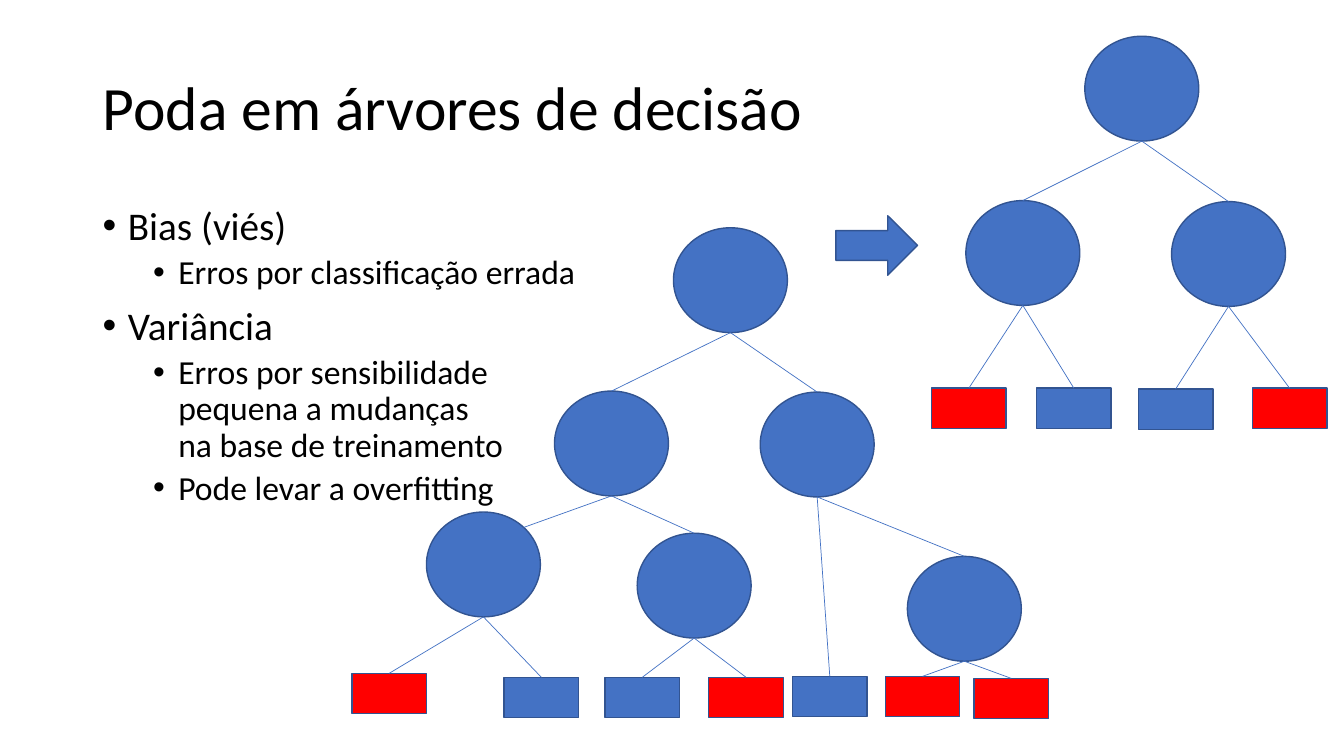
import math

from lxml import etree
from pptx import Presentation
from pptx.dml.color import RGBColor
from pptx.enum import shapes, text
from pptx.oxml.ns import qn
from pptx.util import Inches, Pt

# Content
TITLE = "Poda em árvores de decisão"
BULLETS = [  # (level, text)
    (0, "Bias (viés)"),
    (1, "Erros por classificação errada"),
    (0, "Variância"),
    (1, "Erros por sensibilidade\npequena a mudanças\nna base de treinamento"),
    (1, "Pode levar a overfitting"),
]
# Each node: (kind, left, top, children); a "corner" node is joined at its upper right
PRUNED_TREE = ("node", 10.76, 0.36, [
    ("node", 9.58, 1.99, [("error", 9.24, 3.85, []), ("leaf", 10.28, 3.85, [])]),
    ("node", 11.62, 2, [("leaf", 11.29, 3.86, []), ("error", 12.42, 3.85, [])]),
])
FULL_TREE = ("node", 6.68, 2.26, [
    ("node", 5.5, 3.88, [
        ("corner", 4.23, 5.08, [("error", 3.49, 6.68, []), ("leaf", 5, 6.72, [])]),
        ("node", 6.32, 5.29, [("leaf", 6, 6.72, []), ("error", 7.03, 6.72, [])]),
    ]),
    ("node", 7.54, 3.89, [
        ("leaf", 7.86, 6.71, []),
        ("node", 9, 5.52, [("error", 8.78, 6.71, []), ("error", 9.66, 6.73, [])]),
    ]),
])
PRUNING_ARROW = (8.29, 2.14, 0.81, 0.59)

THEME = {
    "font": "Calibri", "title": 44, "levels": (28, 24),
    "ink": RGBColor(0, 0, 0), "blue": RGBColor(0x44, 0x72, 0xC4),
    "outline": RGBColor(0x32, 0x54, 0x91), "red": RGBColor(255, 0, 0),
}
OVAL, RECT = shapes.MSO_SHAPE.OVAL, shapes.MSO_SHAPE.RECTANGLE
KINDS = {  # preset, width, height, fill
    "node": (OVAL, 1.13, 1.04, "blue"),
    "corner": (OVAL, 1.13, 1.04, "blue"),
    "leaf": (RECT, 0.74, 0.4, "blue"),
    "error": (RECT, 0.74, 0.4, "red"),
}

prs = Presentation()
prs.slide_width, prs.slide_height = Inches(13.33), Inches(7.5)
slide = prs.slides.add_slide(prs.slide_layouts[6])


def add_text(box, paragraphs, anchor):
    """Write (text, size, paragraph format) rows and return the paragraphs."""
    frame = slide.shapes.add_textbox(*map(Inches, box)).text_frame
    frame.word_wrap, frame.vertical_anchor = True, anchor
    written = []
    for i, (words, size, layout) in enumerate(paragraphs):
        para = frame.add_paragraph() if i else frame.paragraphs[0]
        para.text = words
        for name, value in {"line_spacing": 0.9, **layout}.items():
            setattr(para, name, value)
        for run in para.runs:
            for name, value in {"name": THEME["font"], "size": Pt(size)}.items():
                setattr(run.font, name, value)
            run.font.color.rgb = THEME["ink"]
        written.append(para)
    return written


def add_figure(preset, box, fill):
    figure = slide.shapes.add_shape(preset, *map(Inches, box))
    figure.shadow.inherit = False
    figure.fill.solid()
    figure.fill.fore_color.rgb = THEME[fill]
    figure.line.color.rgb = THEME["outline"]
    figure.line.width = Pt(1)
    return figure


def add_branch(parent, child, kind):
    center = child.left + child.width // 2
    end_x, end_y = center, child.top
    if kind == "corner":
        diagonal = math.sqrt(0.5)
        end_x = center + int(child.width / 2 * diagonal)
        end_y = child.top + int(child.height / 2 * (1 - diagonal))
    branch = slide.shapes.add_connector(
        shapes.MSO_CONNECTOR.STRAIGHT, parent.left + parent.width // 2,
        parent.top + parent.height, end_x, end_y)
    if kind != "corner":
        branch.end_connect(child, 0)
    branch.line.color.rgb = THEME["blue"]
    branch.line.width = Pt(0.5)
    etree.SubElement(branch._element.spPr, qn("a:effectLst"))


def add_tree(tree, parent=None):
    kind, left, top, children = tree
    preset, width, height, fill = KINDS[kind]
    figure = add_figure(preset, (left, top, width, height), fill)
    if parent is not None:
        add_branch(parent, figure, kind)
    for child in children:
        add_tree(child, figure)


# Title and bullets
add_text((0.92, 0.37, 11.5, 1.45), [(TITLE, THEME["title"], {})],
         text.MSO_ANCHOR.MIDDLE)
rows = [(words, THEME["levels"][level],
         {"level": level, "space_before": Pt((10, 5)[level])})
        for level, words in BULLETS]
for para in add_text((0.92, 2, 11.5, 4.76), rows, text.MSO_ANCHOR.TOP):
    props = para._p.get_or_add_pPr()
    props.set("marL", str(Inches(0.25 + 0.5 * para.level)))
    props.set("indent", str(Inches(-0.25)))
    etree.SubElement(props, qn("a:buFont")).set("typeface", "Arial")
    etree.SubElement(props, qn("a:buChar")).set("char", "•")

# Trees before and after pruning
add_tree(PRUNED_TREE)
add_tree(FULL_TREE)
add_figure(shapes.MSO_SHAPE.RIGHT_ARROW, PRUNING_ARROW, "blue")

prs.save("out.pptx")
